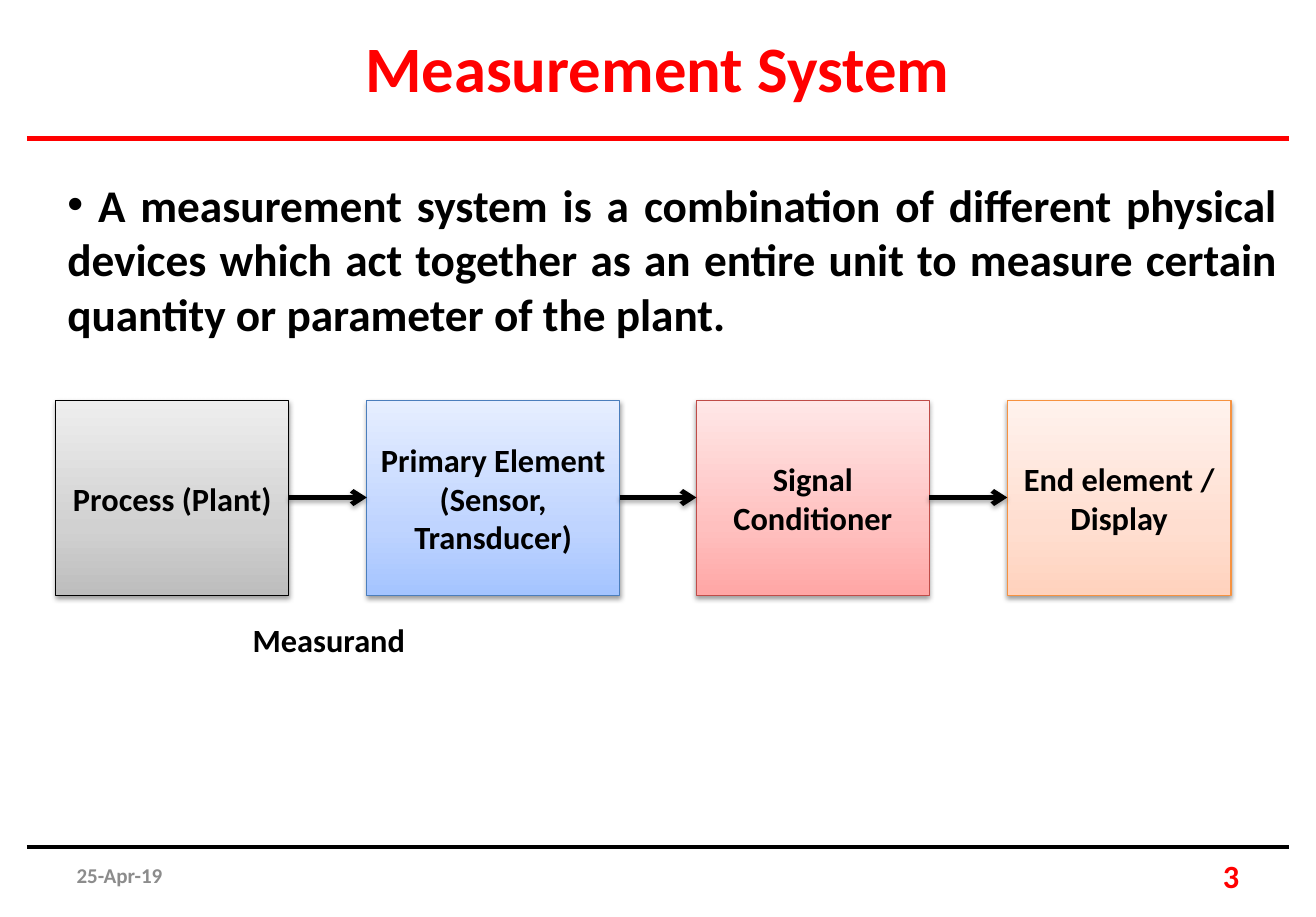
from lxml.etree import SubElement
from pptx import Presentation
from pptx.dml.color import RGBColor
from pptx.enum.shapes import MSO_CONNECTOR as Connector, MSO_SHAPE as Shape
from pptx.enum.text import MSO_ANCHOR as Anchor, PP_ALIGN as Align
from pptx.oxml import parse_xml
from pptx.oxml.ns import nsdecls, qn
from pptx.util import Pt

PX = 9144
BOX_TOP, BOX_HEIGHT, ARROW_Y = 344, 167, 427
BOXES = [
    ("Process (Plant)", 48, 200, "000000", ("BDBDBD", "D1D1D1", "EEEEEE")),
    ("Primary Element (Sensor, Transducer)", 315, 217, "4B7EBC", ("A4C4FF", "BFD4FF", "E6EEFF")),
    ("Signal Conditioner", 598, 200, "BF4C48", ("FFA6A5", "FFC0BF", "FFE7E7")),
    ("End element / Display", 865, 192, "F69240", ("FFD2BD", "FFDED0", "FFF2ED")),
]


def px(*lengths):
    """Turn lengths in px into EMU."""
    return [length * PX for length in lengths]


def color(value):
    """Turn a hex string into a colour."""
    return RGBColor.from_string(value)


def write(shape, text, size=20, fill="000000", align=Align.LEFT, anchor=Anchor.TOP,
          wrap=True, bullet=None):
    """Put one bold paragraph into a shape."""
    frame = shape.text_frame
    frame.word_wrap = wrap
    frame.vertical_anchor = anchor
    frame.margin_left = frame.margin_right = 10 * PX
    frame.margin_top = frame.margin_bottom = 5 * PX
    paragraph = frame.paragraphs[0]
    paragraph.alignment = align
    if bullet:
        properties = paragraph._p.get_or_add_pPr()
        SubElement(properties, qn("a:buFont"), typeface="Arial")
        SubElement(properties, qn("a:buChar"), char=bullet)
    run = paragraph.add_run()
    run.text = text
    run.font.name = "Calibri"
    run.font.size = Pt(size)
    run.font.bold = True
    run.font.color.rgb = color(fill)


def add_label(slide, place, text, **form):
    """Add a text box."""
    write(slide.shapes.add_textbox(*px(*place)), text, **form)


def set_shadow(shape, distance=0, alpha=0):
    """Give a shape a soft shadow below it, or none when alpha is 0."""
    effects = SubElement(shape._element.spPr, qn("a:effectLst"))
    if alpha:
        shadow = SubElement(effects, qn("a:outerShdw"), blurRad=str(Pt(3.1)),
                            dist=str(Pt(distance)), dir="5400000", rotWithShape="0")
        black = SubElement(shadow, qn("a:srgbClr"), val="000000")
        SubElement(black, qn("a:alpha"), val=str(alpha * 1000))


def set_gradient(shape, colors):
    """Fill a shape with three colours running from bottom to top."""
    stops = "".join(f'<a:gs pos="{position}000"><a:srgbClr val="{value}"/></a:gs>'
                    for position, value in zip((0, 35, 100), colors))
    gradient = parse_xml(f'<a:gradFill {nsdecls("a")} rotWithShape="1"><a:gsLst>{stops}</a:gsLst>'
                         '<a:lin ang="16200000" scaled="0"/></a:gradFill>')
    shape._element.spPr.find(qn("a:prstGeom")).addnext(gradient)


def add_box(slide, text, left, width, outline, colors):
    """Add one stage of the measurement chain."""
    shape = slide.shapes.add_shape(Shape.RECTANGLE, *px(left, BOX_TOP, width, BOX_HEIGHT))
    set_gradient(shape, colors)
    shape.line.color.rgb = color(outline)
    shape.line.width = Pt(0.75)
    set_shadow(shape, distance=1.6, alpha=38)
    write(shape, text, align=Align.CENTER, anchor=Anchor.MIDDLE)


def add_line(slide, left, right, y, fill="000000", arrow=False):
    """Add a horizontal rule, or an arrow with a shadow."""
    line = slide.shapes.add_connector(Connector.STRAIGHT, *px(left, y, right, y))
    line.line.color.rgb = color(fill)
    line.line.width = Pt(3)
    if arrow:
        SubElement(line.line._get_or_add_ln(), qn("a:tailEnd"), type="arrow")
        set_shadow(line, distance=1.8, alpha=35)
    else:
        set_shadow(line)


def add_title(slide, text):
    """Move and format the title placeholder."""
    title = slide.shapes.title
    title.left, title.top, title.width, title.height = px(23, 19, 1083, 77)
    title.fill.solid()
    title.fill.fore_color.rgb = color("FFFFFF")
    write(title, text, size=40, fill="FF0000", align=Align.CENTER)


def main():
    """Build the slide and save it."""
    presentation = Presentation()
    presentation.slide_width, presentation.slide_height = px(1130, 787)
    slide = presentation.slides.add_slide(presentation.slide_layouts[5])
    add_title(slide, "Measurement System")
    add_line(slide, 23, 1107, 119, fill="FF0000")
    add_line(slide, 23, 1107, 727)
    add_label(slide, (56, 730, 264, 42), "25-Apr-19", size=13, fill="8C8C8C", anchor=Anchor.MIDDLE)
    add_label(slide, (810, 730, 264, 42), "3", fill="FF0000", align=Align.RIGHT,
              anchor=Anchor.MIDDLE)
    add_label(slide, (48, 147, 1058, 151),
              " A measurement system is a combination of different physical devices which act "
              "together as an entire unit to measure certain quantity or parameter of the plant.",
              size=28, align=Align.JUSTIFY, bullet="•")
    for box in BOXES:
        add_box(slide, *box)
    for (_, left, width, *_), (_, following, *_) in zip(BOXES, BOXES[1:]):
        add_line(slide, left + width, following, ARROW_Y, arrow=True)
    add_label(slide, (207, 527, 152, 44), "Measurand", wrap=False)
    presentation.save("out.pptx")


if __name__ == "__main__":
    main()
